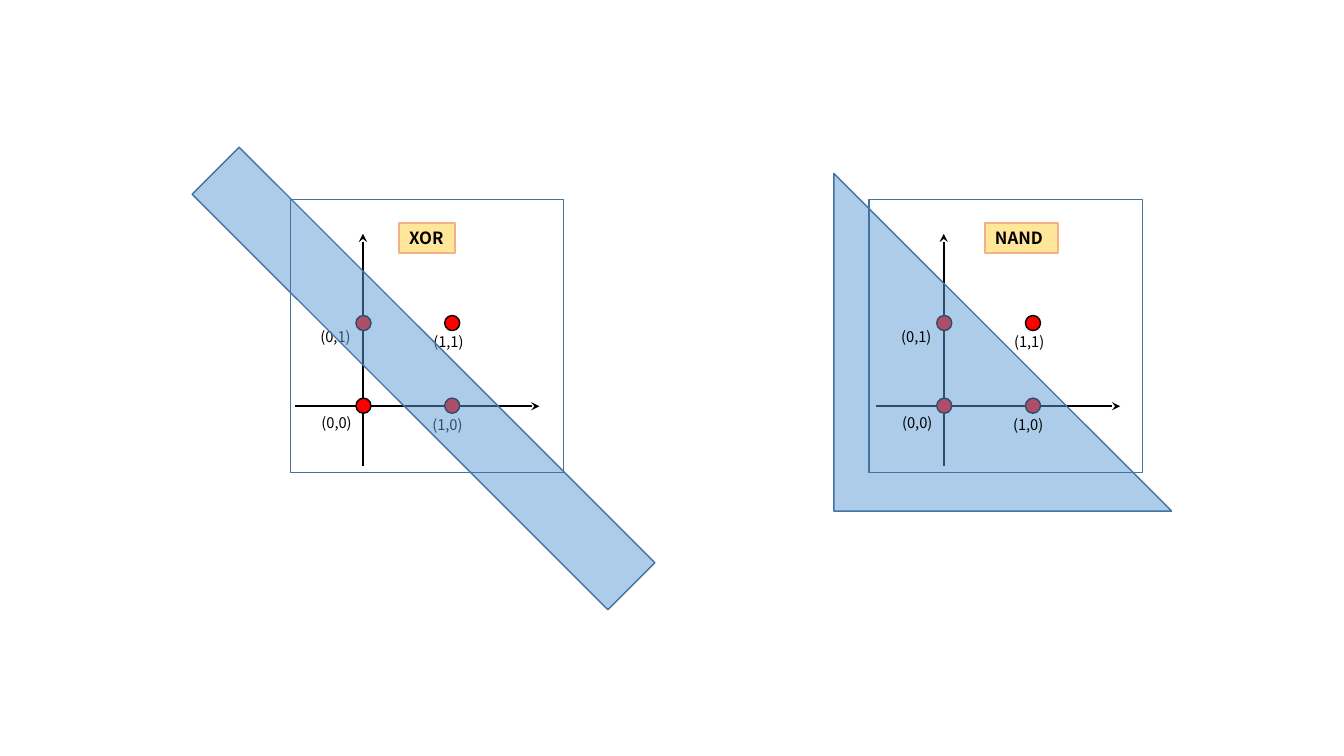
from lxml import etree
from pptx import Presentation
from pptx.dml.color import RGBColor
from pptx.enum.shapes import MSO_CONNECTOR, MSO_SHAPE
from pptx.enum.text import MSO_ANCHOR, MSO_AUTO_SIZE, PP_ALIGN
from pptx.oxml.ns import qn
from pptx.util import Inches, Pt

BLACK = RGBColor(0x00, 0x00, 0x00)
RED = RGBColor(0xFF, 0x00, 0x00)
BLUE = RGBColor(0x5B, 0x9B, 0xD5)
DARK_BLUE = RGBColor(0x43, 0x73, 0x9E)
YELLOW = RGBColor(0xFF, 0xE6, 0x99)
ORANGE = RGBColor(0xF4, 0xB1, 0x83)
FONT = "Noto Sans CJK KR"

PLOT_TOP = 2.32
FRAME_TOP, FRAME_SIZE = 1.98, 2.71
AXIS_X, AXIS_Y = 0.67, 1.71  # where the axes cross, within the plot
STEP_X, STEP_Y = 0.88, 0.82
DOT = 0.15
# label position within the plot, by input pair
LABELS = {(0, 1): (0.15, 0.88), (0, 0): (0.16, 1.74),
          (1, 0): (1.26, 1.76), (1, 1): (1.27, 0.93)}


def add_shape(slide, kind, box, fill, line, width=1):
    """Add a flat preset shape; a fill of None leaves it empty."""
    shape = slide.shapes.add_shape(kind, *map(Inches, box))
    shape.shadow.inherit = False
    if fill is None:
        shape.fill.background()
    else:
        shape.fill.solid()
        shape.fill.fore_color.rgb = fill
    shape.line.color.rgb = line
    shape.line.width = Pt(width)
    return shape


def write(shape, text, size, bold=False):
    """Write one left-aligned, unwrapped line into a shape."""
    frame = shape.text_frame
    frame.word_wrap = False
    frame.auto_size = MSO_AUTO_SIZE.SHAPE_TO_FIT_TEXT
    paragraph = frame.paragraphs[0]
    paragraph.alignment = PP_ALIGN.LEFT
    run = paragraph.add_run()
    run.text = text
    run.font.name = FONT
    run.font.size = Pt(size)
    run.font.bold = bold
    run.font.color.rgb = BLACK
    properties = run.font._element
    for tag in ("a:ea", "a:cs"):
        etree.SubElement(properties, qn(tag), typeface=FONT)


def add_axis(slide, start, end):
    """Add a black axis with a stealth arrowhead at its end."""
    axis = slide.shapes.add_connector(
        MSO_CONNECTOR.STRAIGHT, *map(Inches, (*start, *end)))
    axis.line.color.rgb = BLACK
    axis.line.width = Pt(1.5)
    etree.SubElement(axis.line._get_or_add_ln(), qn("a:tailEnd"), type="stealth")
    etree.SubElement(axis._element.spPr, qn("a:effectLst"))


def draw_plot(slide, left, top):
    """Draw the axes and the four input points."""
    x, y = left + AXIS_X, top + AXIS_Y
    add_axis(slide, (left, y), (left + 2.42, y))
    add_axis(slide, (x, top + 2.3), (x, top))
    for a, b in LABELS:
        box = (x - 0.07 + a * STEP_X, y - 0.08 - b * STEP_Y, DOT, DOT)
        add_shape(slide, MSO_SHAPE.OVAL, box, RED, BLACK)


def draw_labels(slide, left, top):
    """Write the coordinates next to the points."""
    for (a, b), (dx, dy) in LABELS.items():
        label = slide.shapes.add_textbox(
            *map(Inches, (left + dx, top + dy, 0.58, 0.28)))
        write(label, f"({a},{b})", 10.5)


def draw_region(slide, kind, box, rotation=0):
    """Draw the half-transparent area where the gate is true."""
    region = add_shape(slide, kind, box, BLUE, DARK_BLUE)
    region.rotation = rotation
    color = region._element.spPr.find(qn("a:solidFill"))[0]
    etree.SubElement(color, qn("a:alpha"), val="50000")


def draw_frame(slide, left, top, name, name_left, name_width):
    """Draw the gate's name tag and the square frame around its plot."""
    tag_box = (left + name_left, top + 0.23, name_width, 0.3)
    tag = add_shape(slide, MSO_SHAPE.RECTANGLE, tag_box, YELLOW, ORANGE, 1.5)
    tag.text_frame.vertical_anchor = MSO_ANCHOR.TOP
    write(tag, name, 12, bold=True)
    add_shape(slide, MSO_SHAPE.RECTANGLE,
              (left, top, FRAME_SIZE, FRAME_SIZE), None, DARK_BLUE)


def draw_xor(slide, left):
    """Draw the XOR panel, its band lying over the labels."""
    draw_plot(slide, left + 0.05, PLOT_TOP)
    draw_labels(slide, left + 0.05, PLOT_TOP)
    draw_region(slide, MSO_SHAPE.RECTANGLE,
                (left + 0.99, FRAME_TOP - 1.14, 0.66, 5.83), rotation=135)
    draw_frame(slide, left, FRAME_TOP, "XOR", 1.08, 0.55)


def draw_nand(slide, left):
    """Draw the NAND panel, its triangle lying under the labels."""
    draw_plot(slide, left + 0.07, PLOT_TOP)
    draw_region(slide, MSO_SHAPE.RIGHT_TRIANGLE,
                (left - 0.35, FRAME_TOP - 0.26, 3.35, 3.35))
    draw_labels(slide, left + 0.07, PLOT_TOP)
    draw_frame(slide, left, FRAME_TOP, "NAND", 1.15, 0.72)


def main():
    """Build and save the slide."""
    deck = Presentation()
    deck.slide_width, deck.slide_height = Inches(13.33), Inches(7.5)
    slide = deck.slides.add_slide(deck.slide_layouts[6])
    draw_xor(slide, 2.88)
    draw_nand(slide, 8.62)
    deck.save("out.pptx")


main()
